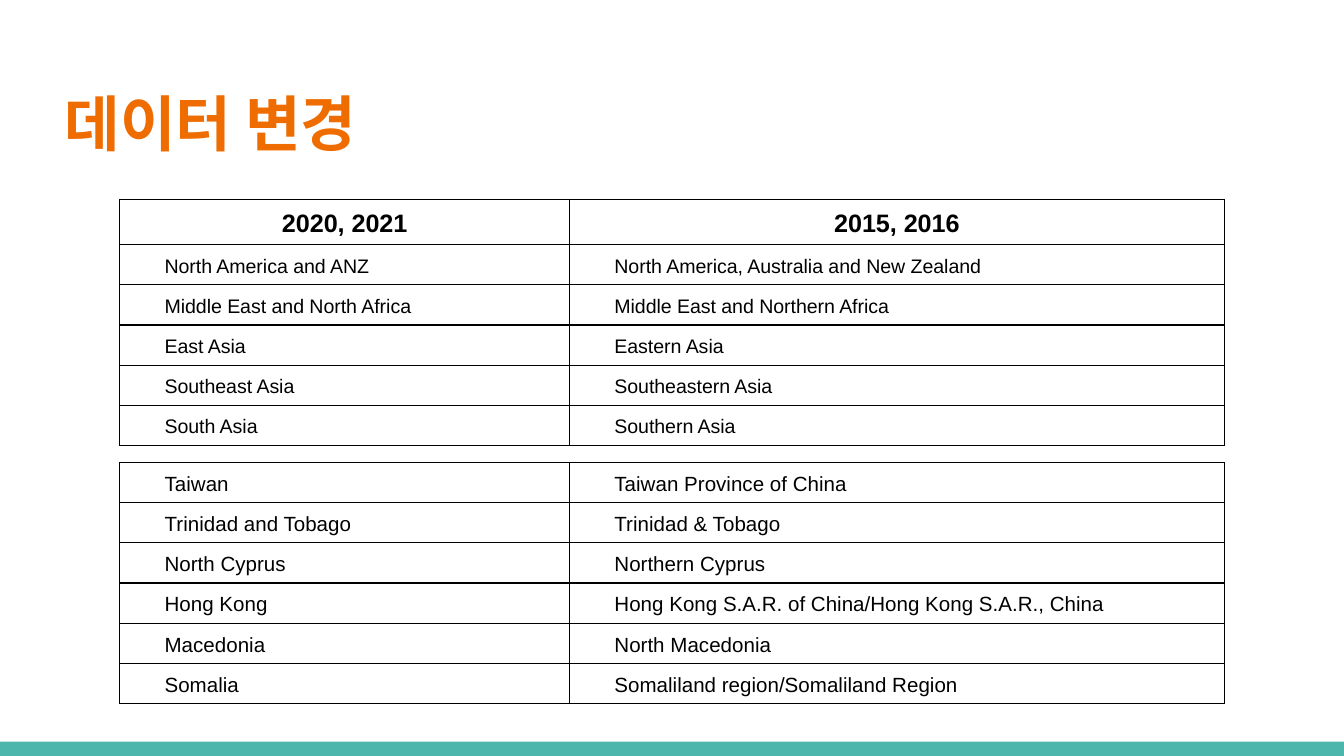
from lxml import etree
from pptx import Presentation
from pptx.dml.color import RGBColor
from pptx.enum import shapes, text
from pptx.oxml import ns
from pptx.util import Pt

ORANGE = RGBColor(0xEF, 0x6C, 0x00)
TEAL = RGBColor(0x4D, 0xB6, 0xAC)
BLACK = RGBColor(0, 0, 0)

TITLE = "데이터 변경"
HEADER = ("2020, 2021", "2015, 2016")
REGIONS = [
    ("North America and ANZ", "North America, Australia and New Zealand"),
    ("Middle East and North Africa", "Middle East and Northern Africa"),
    ("East Asia", "Eastern Asia"),
    ("Southeast Asia", "Southeastern Asia"),
    ("South Asia", "Southern Asia"),
]
COUNTRIES = [
    ("Taiwan", "Taiwan Province of China"),
    ("Trinidad and Tobago", "Trinidad & Tobago"),
    ("North Cyprus", "Northern Cyprus"),
    ("Hong Kong", "Hong Kong S.A.R. of China/Hong Kong S.A.R., China"),
    ("Macedonia", "North Macedonia"),
    ("Somalia", "Somaliland region/Somaliland Region"),
]

PAGE_WIDTH, PAGE_HEIGHT = 720, 405
BAR_HEIGHT = 7.7
TABLE_LEFT = 64.2
COLUMN_WIDTHS = (241, 350.7)
ROW_HEIGHT = 21.55
CELL_INSET = 2.8
CELL_INDENT = 21.2


def set_borders(cell):
    """Draw a thin black line on all four sides of a cell."""
    properties = cell._tc.get_or_add_tcPr()
    for position, side in enumerate(("a:lnL", "a:lnR", "a:lnT", "a:lnB")):
        line = etree.Element(ns.qn(side), w=str(Pt(0.75)))
        fill = etree.SubElement(line, ns.qn("a:solidFill"))
        etree.SubElement(fill, ns.qn("a:srgbClr"), val=str(BLACK))
        properties.insert(position, line)


def fill_cell(cell, words, size, is_header):
    cell.fill.background()
    set_borders(cell)
    cell.vertical_anchor = text.MSO_ANCHOR.MIDDLE
    cell.margin_left = cell.margin_right = Pt(CELL_INSET)
    cell.margin_top = cell.margin_bottom = Pt(CELL_INSET)
    para = cell.text_frame.paragraphs[0]
    para.text = words
    para.line_spacing = 1.15
    if is_header:
        para.alignment = text.PP_ALIGN.CENTER
    else:
        para._p.get_or_add_pPr().set("marL", str(Pt(CELL_INDENT)))
    para.font.name = "Arial"
    para.font.size = Pt(size)
    para.font.bold = is_header
    para.font.color.rgb = BLACK


def add_name_table(page, top, rows, size, header=None):
    all_rows = ([header] if header else []) + rows
    frame = page.shapes.add_table(
        len(all_rows), len(COLUMN_WIDTHS), Pt(TABLE_LEFT), Pt(top),
        Pt(sum(COLUMN_WIDTHS)), Pt(ROW_HEIGHT * len(all_rows)))
    table = frame.table
    table.first_row = table.horz_banding = False
    for column, width in zip(table.columns, COLUMN_WIDTHS):
        column.width = Pt(width)
    for r, names in enumerate(all_rows):
        table.rows[r].height = Pt(ROW_HEIGHT)
        is_header = names is header
        for c, words in enumerate(names):
            fill_cell(table.cell(r, c), words, 13.5 if is_header else size, is_header)


deck = Presentation()
deck.slide_width, deck.slide_height = Pt(PAGE_WIDTH), Pt(PAGE_HEIGHT)
page = deck.slides.add_slide(deck.slide_layouts[6])

# Bottom bar
bar = page.shapes.add_shape(
    shapes.MSO_SHAPE.RECTANGLE, 0, Pt(PAGE_HEIGHT - BAR_HEIGHT),
    Pt(PAGE_WIDTH), Pt(BAR_HEIGHT))
bar.shadow.inherit = False
bar.fill.solid()
bar.fill.fore_color.rgb = TEAL
bar.line.fill.background()

# Title
title = page.shapes.add_textbox(Pt(27.4), Pt(40.3), Pt(671), Pt(55.4))
frame = title.text_frame
frame.word_wrap = True
frame.vertical_anchor = text.MSO_ANCHOR.MIDDLE
frame.margin_left = frame.margin_right = Pt(7.2)
frame.margin_top = frame.margin_bottom = Pt(7.2)
para = frame.paragraphs[0]
para.text = TITLE
para.line_spacing = 0.9
para.font.name = "Arial Narrow"
para.font.size = Pt(32.4)
para.font.bold = True
para.font.color.rgb = ORANGE

# Region and country names by survey year
add_name_table(page, 106.8, REGIONS, 10.5, HEADER)
add_name_table(page, 247.7, COUNTRIES, 11)

deck.save("out.pptx")
